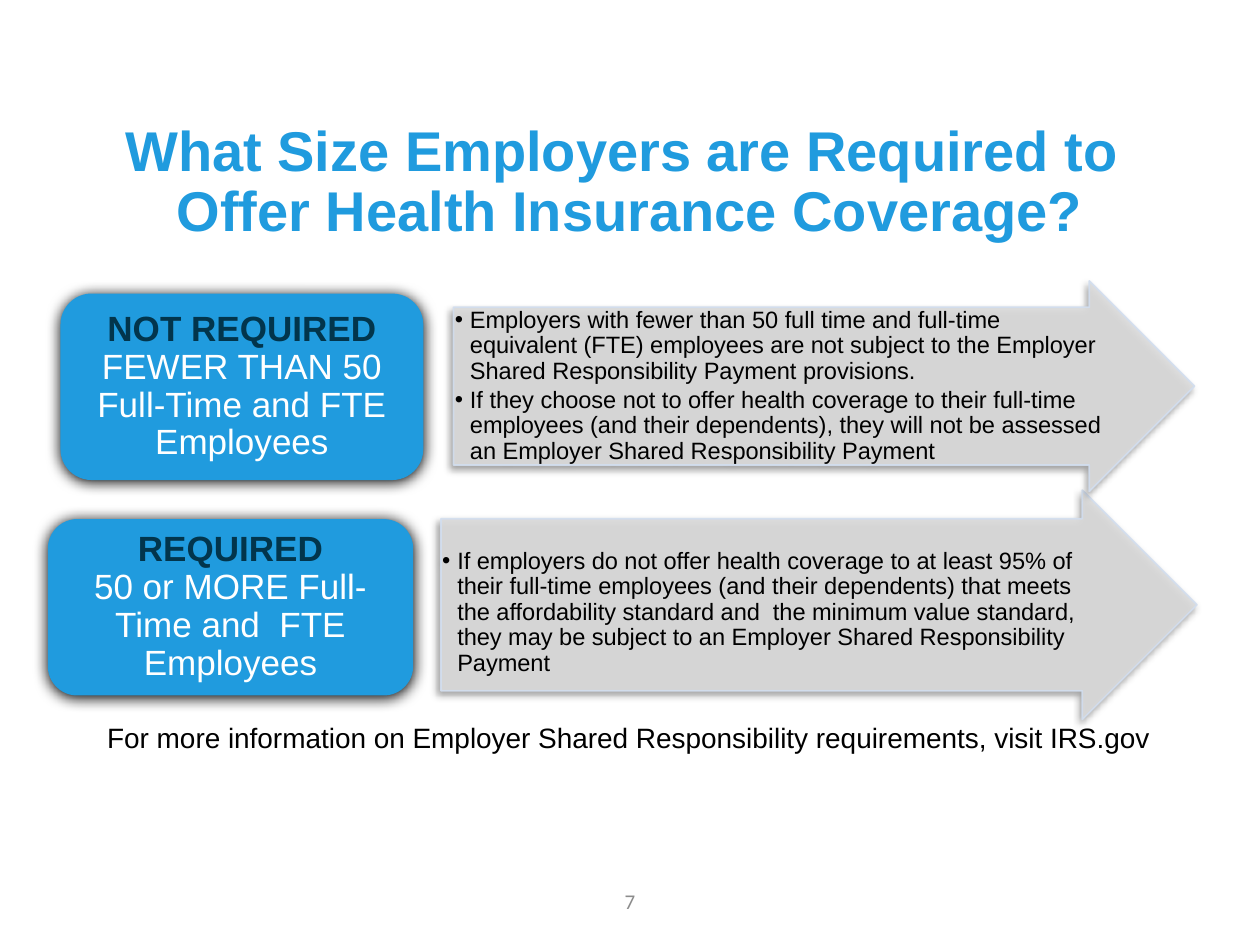
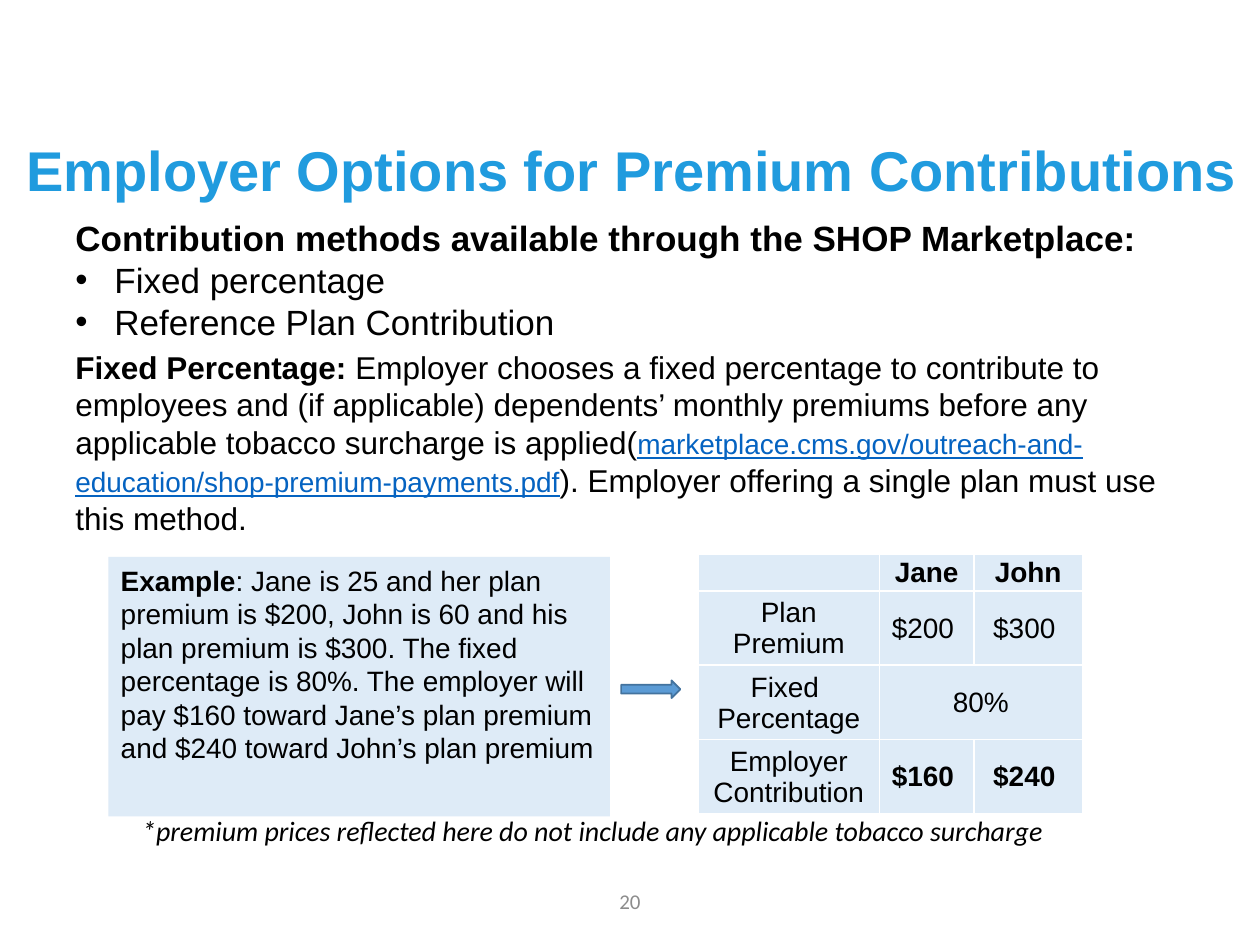
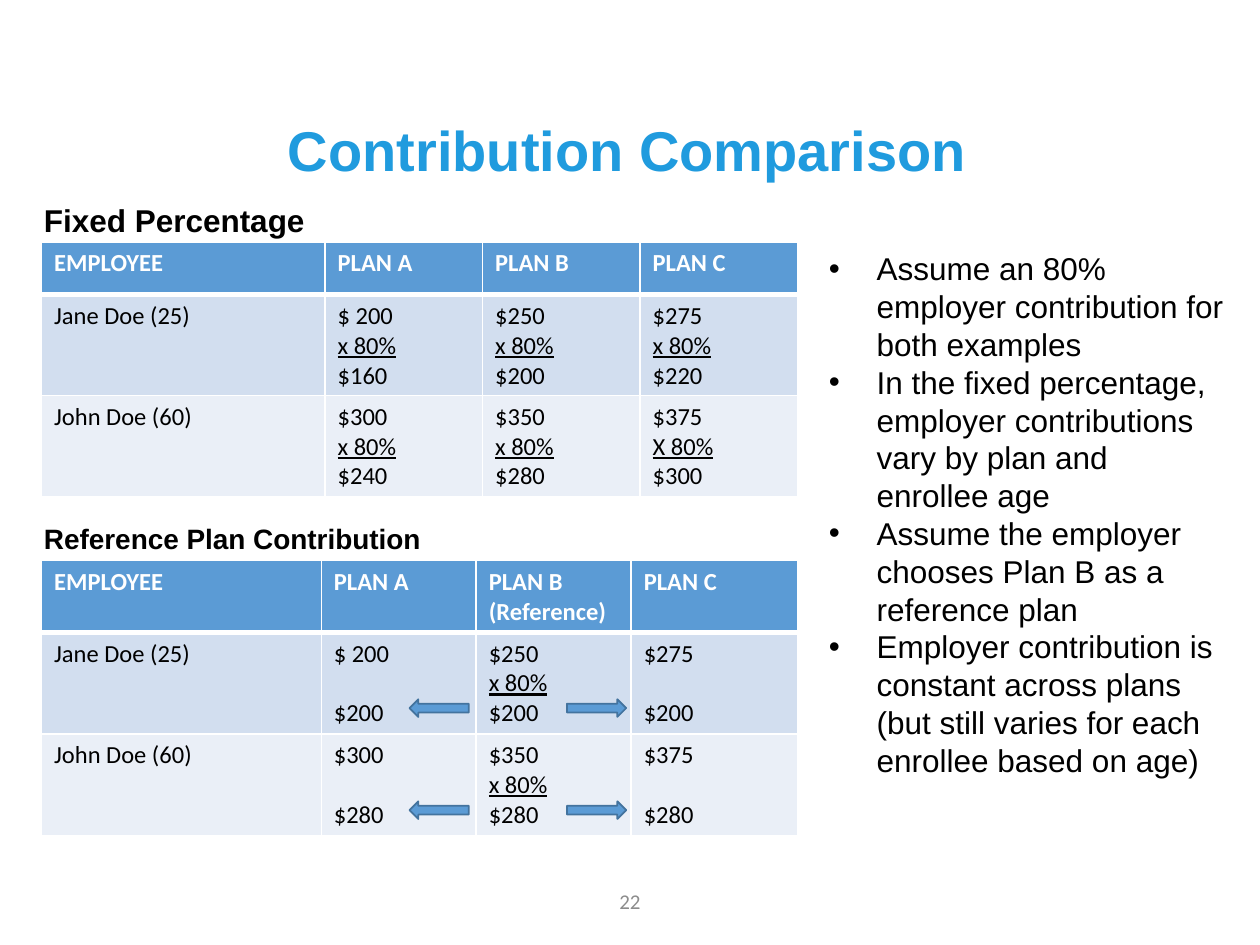
from lxml.etree import SubElement
from pptx import Presentation
from pptx.dml.color import RGBColor
from pptx.enum.shapes import MSO_SHAPE as SHAPE
from pptx.enum.text import MSO_ANCHOR as ANCHOR, PP_ALIGN as ALIGN
from pptx.oxml.ns import qn
from pptx.util import Inches, Pt

TITLE_BLUE, NAVY, LINK = "209BDE", "02354C", "0563C1"
BLUE, DARK_BLUE, PALE, BAND, LIGHT_BAND = "5B9BD5", "43739E", "DEEBF7", "D2DEEF", "EAEFF7"
BLACK, WHITE, GRAY, SILVER = "000000", "FFFFFF", "8C8C8C", "DBDBDB"
BLANK_LINE = 17.1  # height of one 14 pt Calibri line, in points


def rgb(value):
    """Turn a hex string into a colour."""
    return RGBColor.from_string(value)


def fmt(size, color=BLACK, name="Arial", **more):
    """Return a dict of font values."""
    return dict(size=Pt(size), color=color, name=name, **more)


def add_node(parent, tag, **attrs):
    """Append a DrawingML element."""
    return SubElement(parent, qn(tag), {k: str(v) for k, v in attrs.items()})


def set_alpha(fill, percent):
    """Make a solid fill (or the fill of a line) partly transparent."""
    for clr in fill._xPr.iter(qn("a:srgbClr")):
        add_node(clr, "a:alpha", val=percent * 1000)


def add_shadow(sp, alpha, blur, dist, angle):
    """Give a shape an outer black shadow."""
    effects = sp._element.spPr.find(qn("a:effectLst"))
    shadow = add_node(effects, "a:outerShdw", blurRad=Pt(blur), dist=Pt(dist),
                      dir=angle * 60000, rotWithShape=0)
    add_node(add_node(shadow, "a:srgbClr", val=BLACK), "a:alpha", val=alpha * 1000)


def add_run(p, text, values):
    """Add a run, with line breaks at newlines."""
    for i, line in enumerate(text.split("\n")):
        if i:
            p.add_line_break()
            add_node(p._p[-1], "a:rPr", sz=int(values["size"].pt * 100))
        if not line:
            continue
        r = p.add_run()
        r.text = line
        for key, value in values.items():
            if key == "color":
                r.font.color.rgb = rgb(value)
            else:
                setattr(r.font, key, value)


def write(tf, paras, base, indent=0, insets=None, anchor=ANCHOR.TOP, **layout):
    """Fill a text frame; a paragraph is a string or a list of (text, changes)."""
    tf.word_wrap = True
    tf.vertical_anchor = anchor
    set_insets(tf, insets)
    for i, para in enumerate(paras):
        p = tf.paragraphs[0] if i == 0 else tf.add_paragraph()
        for key, value in {"alignment": ALIGN.LEFT, **layout}.items():
            setattr(p, key, value)
        if indent:
            pPr = p._p.get_or_add_pPr()
            pPr.set("marL", str(Inches(indent)))
            pPr.set("indent", str(-Inches(indent)))
            add_node(pPr, "a:buFont", typeface="Arial")
            add_node(pPr, "a:buChar", char="•")
        for text, changes in [(para, {})] if isinstance(para, str) else para:
            add_run(p, text, {**base, **changes})


def set_insets(target, insets):
    """Set left, top, right and bottom margins of a frame or cell."""
    for side, value in zip(("left", "top", "right", "bottom"), insets or ()):
        setattr(target, "margin_" + side, Inches(value))


def set_borders(cell, top=1, bottom=1):
    """Draw white borders around a cell; call before setting its fill."""
    tcPr = cell._tc.get_or_add_tcPr()
    for side, width in (("L", 1), ("R", 1), ("T", top), ("B", bottom)):
        ln = add_node(tcPr, "a:ln" + side, w=Pt(width))
        add_node(add_node(ln, "a:solidFill"), "a:srgbClr", val=WHITE)


class Deck:
    """Holds the shared style and the current slide."""

    def __init__(self):
        """Open an empty 10 by 7.5 inch presentation."""
        self.prs = Presentation()
        self.prs.slide_width, self.prs.slide_height = Inches(10), Inches(7.5)

    def new_slide(self, title, number, left, top, height):
        """Add a slide with its title and page number."""
        self.slide = self.prs.slides.add_slide(self.prs.slide_layouts[6])
        self.text(left, top, 10, height, [title], fmt(32, TITLE_BLUE, bold=True),
                  anchor=ANCHOR.MIDDLE, alignment=ALIGN.CENTER, line_spacing=0.9)
        self.text(0, 6.95, 10, 0.4, [str(number)], fmt(12, GRAY, "Calibri"),
                  anchor=ANCHOR.MIDDLE, alignment=ALIGN.CENTER)

    def text(self, left, top, width, height, paras, base, **layout):
        """Add a text box."""
        box = self.slide.shapes.add_textbox(*map(Inches, (left, top, width, height)))
        write(box.text_frame, paras, base, **layout)

    def shape(self, kind, left, top, width, height, fill, line=None):
        """Add a flat preset shape."""
        sp = self.slide.shapes.add_shape(kind, *map(Inches, (left, top, width, height)))
        sp.shadow.inherit = False
        sp.fill.solid()
        sp.fill.fore_color.rgb = rgb(fill)
        if line:
            sp.line.color.rgb = rgb(line)
            sp.line.width = Pt(1)
        else:
            sp.line.fill.background()
        return sp

    def small_arrow(self, left, top, rotation=0):
        """Add a small blue block arrow."""
        sp = self.shape(SHAPE.RIGHT_ARROW, left, top, 0.47, 0.14, BLUE, DARK_BLUE)
        sp.rotation = rotation

    def rule_arrow(self, left, top, width, height, paras, **layout):
        """Add a large grey arrow with bullets."""
        sp = self.shape(SHAPE.RIGHT_ARROW, left, top, width, height, SILVER, BAND)
        sp.adjustments[0], sp.adjustments[1] = 0.75, 0.5
        set_alpha(sp.fill, 90)
        set_alpha(sp.line.fill, 90)
        add_shadow(sp, 40, 4, 3, 135)
        write(sp.text_frame, paras, fmt(13.5), indent=0.12, line_spacing=0.9,
              space_after=Pt(2), **layout)

    def size_card(self, left, top, width, height, heading, body):
        """Add a rounded blue card with a dark heading."""
        sp = self.shape(SHAPE.ROUNDED_RECTANGLE, left, top, width, height, TITLE_BLUE)
        add_shadow(sp, 100, 8.5, 1, 90)
        runs = [(heading + "\n", dict(color=NAVY, bold=True)), (body, {})]
        write(sp.text_frame, [runs], fmt(20, WHITE), insets=(0.08, 0.04, 0.08, 0.04),
              anchor=ANCHOR.MIDDLE, alignment=ALIGN.CENTER, line_spacing=0.9)

    def grid(self, left, top, cols, rows):
        """Add a table with the given column widths and row heights."""
        frame = self.slide.shapes.add_table(
            len(rows), len(cols), *map(Inches, (left, top, sum(cols), sum(rows))))
        table = frame.table
        table.first_row = table.horz_banding = False
        for col, width in zip(table.columns, cols):
            col.width = Inches(width)
        for row, height in zip(table.rows, rows):
            row.height = Inches(height)
        return table

    def premium_table(self, left, top, cols, rows, data):
        """Add the pale table with centred cells; None joins the cell before."""
        table = self.grid(left, top, cols, rows)
        for y, line in enumerate(data):
            for x, text in enumerate(line):
                cell = table.cell(y, x)
                set_borders(cell)
                cell.fill.solid()
                cell.fill.fore_color.rgb = rgb(PALE)
                set_insets(cell, (0.01, 0.01, 0.01, 0))
                cell.vertical_anchor = ANCHOR.MIDDLE
                if text is None:
                    table.cell(y, x - 1).merge(cell)
                    continue
                p = cell.text_frame.paragraphs[0]
                p.alignment = ALIGN.CENTER
                bold = y == 0 or (y == len(data) - 1 and x > 0)
                add_run(p, text, fmt(16, bold=bold))
                if not text:
                    add_node(p._p, "a:endParaRPr", sz=1600)

    def plan_table(self, top, cols, rows, data):
        """Add a plan table; cells list their lines, an empty one is a gap."""
        table = self.grid(0.33, top, cols, rows)
        for y, line in enumerate(data):
            for x, text in enumerate(line):
                cell = table.cell(y, x)
                set_borders(cell, top=3 if y == 1 else 1, bottom=3 if y == 0 else 1)
                cell.fill.solid()
                cell.fill.fore_color.rgb = rgb((BLUE, BAND, LIGHT_BAND)[y])
                base = fmt(14, BLACK if y else WHITE, "Calibri", bold=y == 0)
                self.sum_lines(cell.text_frame, text.split("|"), base)

    def sum_lines(self, tf, lines, base):
        """Write a sum, with its factor underlined."""
        p, gap = tf.paragraphs[0], 0
        for i, line in enumerate(lines):
            if not line:
                gap = BLANK_LINE
                continue
            if i:
                p = tf.add_paragraph()
            if gap:
                p.space_before = Pt(gap)
            add_run(p, line, {**base, "underline": "80%" in line})


deck = Deck()

# Employer size
deck.new_slide("What Size Employers are Required to \nOffer Health Insurance Coverage?",
               7, 0, 1.07, 0.77)
deck.text(0.48, 5.42, 9.02, 0.64,
          ["For more information on Employer Shared Responsibility requirements, visit IRS.gov"],
          fmt(16), insets=(0.1, 0.3, 0.1, 0.05), alignment=ALIGN.CENTER)
deck.rule_arrow(3.5, 3.89, 6, 1.82, [
    "If employers do not offer health coverage to at least 95% of their full-time employees "
    "(and their dependents) that meets the affordability standard and  the minimum value "
    "standard, they may be subject to an Employer Shared Responsibility Payment"],
    insets=(0.01, 0.24, 0.01, 0.01))
deck.size_card(0.38, 4.12, 2.9, 1.4, "REQUIRED", "50 or MORE Full-Time and  FTE Employees")
deck.rule_arrow(3.6, 2.23, 5.88, 1.67, [
    "Employers with fewer than 50 full time and full-time equivalent (FTE) employees are not "
    "subject to the Employer Shared Responsibility Payment provisions.",
    "If they choose not to offer health coverage to their full-time employees (and their "
    "dependents), they will not be assessed an Employer Shared Responsibility Payment"],
    insets=(0.01,) * 4, anchor=ANCHOR.MIDDLE)
deck.size_card(0.48, 2.33, 2.88, 1.48, "NOT REQUIRED",
               "FEWER THAN 50 Full-Time and FTE Employees")

# Premium contributions
deck.new_slide("Employer Options for Premium Contributions ", 20, 0.08, 0.98, 0.8)
deck.text(0.5, 1.67, 9.17, 0.43,
          ["Contribution methods available through the SHOP Marketplace:"],
          fmt(20, bold=True))
deck.text(0.5, 2, 9.17, 0.78, ["Fixed percentage", "Reference Plan Contribution"],
          fmt(20), indent=0.31)
deck.text(0.5, 2.71, 8.83, 2.22, [[
    ("Fixed Percentage: ", dict(bold=True)),
    ("Employer chooses a fixed percentage to contribute to employees and (if applicable) "
     "dependents’ monthly premiums before any applicable tobacco surcharge is applied(", {}),
    ("marketplace.cms.gov/outreach-and-education/shop-premium-payments.pdf",
     fmt(16, LINK, underline=True)),
    ("). Employer offering a single plan must use this method.", {})]], fmt(18))
example = deck.shape(SHAPE.RECTANGLE, 0.86, 4.42, 3.98, 2.06, PALE)
write(example.text_frame, [[
    ("Example", dict(bold=True)),
    (": Jane is 25 and her plan premium is $200, John is 60 and his plan premium is $300. "
     "The fixed percentage is 80%. The employer will pay $160 toward Jane’s plan premium "
     "and $240 toward John’s plan premium", {})]], fmt(16))
deck.premium_table(5.54, 4.4, [1.44, 0.75, 0.86], [0.29] + [0.59] * 3, [
    ["", "Jane", "John"],
    ["Plan\nPremium", "$200 ", "$300 "],
    ["Fixed \nPercentage", "80%", None],
    ["Employer\nContribution", "$160 ", "$240 "]])
deck.small_arrow(4.93, 5.4)
deck.text(1.03, 6.41, 7.55, 0.37,
          ["*premium prices reflected here do not include any applicable tobacco surcharge"],
          fmt(16, name="Calibri", italic=True))

# Comparison
deck.new_slide("Contribution Comparison", 22, -0.02, 0.84, 0.76)
deck.plan_table(1.92, [2.25] + [1.25] * 3, [0.42, 0.8, 0.8], [
    ["EMPLOYEE", "PLAN A", "PLAN B", "PLAN C"],
    ["Jane Doe (25)", "$ 200 |x 80%|$160", "$250|x 80%|$200", "$275|x 80%|$220"],
    ["John Doe (60)", "$300|x 80%|$240", "$350|x 80%|$280", "$375|X 80%|$300"]])
deck.plan_table(4.45, [2.22, 1.23, 1.23, 1.32], [0.57, 0.8, 0.8], [
    ["EMPLOYEE", "PLAN A", "PLAN B|(Reference)", "PLAN C"],
    ["Jane Doe (25)", "$ 200 ||$200", "$250|x 80%|$200", "$275||$200"],
    ["John Doe (60)", "$300||$280", "$350|x 80%|$280", "$375||$280"]])
deck.text(0.25, 1.55, 3.33, 0.4, ["Fixed Percentage"], fmt(18, bold=True))
deck.text(0.25, 4.09, 5.92, 0.37, ["Reference Plan Contribution"], fmt(16, bold=True))
deck.text(6.48, 1.93, 3.33, 4.34, [
    "Assume an 80% employer contribution for both examples",
    "In the fixed percentage, employer contributions vary by plan and enrollee age",
    "Assume the employer chooses Plan B as a reference plan",
    "Employer contribution is constant across plans (but still varies for each enrollee "
    "based on age)"], fmt(18), indent=0.38)
for arrow_top in (6.36, 5.55):
    deck.small_arrow(4.5, arrow_top)
    deck.small_arrow(3.25, arrow_top, rotation=180)

deck.prs.save("out.pptx")
